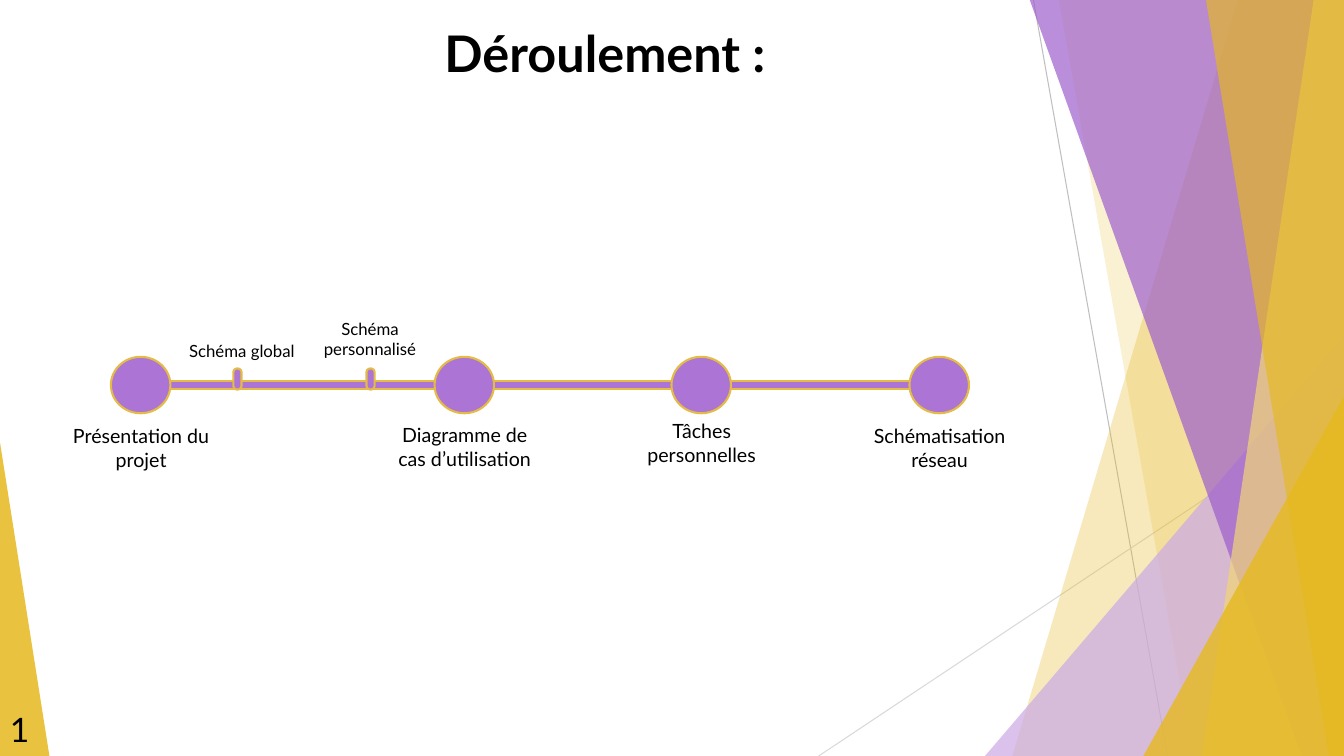
from lxml import etree
from pptx import Presentation
from pptx.dml.color import RGBColor
from pptx.enum import shapes, text
from pptx.oxml import parse_xml
from pptx.oxml.ns import qn
from pptx.util import Inches, Pt

NS = 'xmlns:a="http://schemas.openxmlformats.org/drawingml/2006/main"'
GOLD, EDGE, VIOLET = "E6B91E", "E4BB46", "AB74D5"
KIND = shapes.MSO_SHAPE


def paint(shape, color, alpha=100, edge=None):
    shape.shadow.inherit = False
    shape.fill.solid()
    shape.fill.fore_color.rgb = RGBColor.from_string(color)
    if alpha < 100:
        tint = shape.fill._xPr.find(qn("a:solidFill"))[0]
        etree.SubElement(tint, qn("a:alpha"), val=str(alpha * 1000))
    if edge:
        shape.line.color.rgb = RGBColor.from_string(edge)
        shape.line.width = Pt(1.5)
    else:
        shape.line.fill.background()


def write(words, left, top, width, height, size=14, bold=False, box=None,
          align=text.PP_ALIGN.CENTER, anchor=text.MSO_ANCHOR.TOP):
    place = [Inches(v) for v in (left, top, width, height)]
    if box is None:
        box = slide.shapes.add_textbox(*place)
    box.left, box.top, box.width, box.height = place
    frame = box.text_frame
    frame.word_wrap = True
    frame.vertical_anchor = anchor
    para = frame.paragraphs[0]
    para.alignment = align
    run = para.add_run()
    run.text = words
    run.font.name = "Lato"
    run.font.size = Pt(size)
    run.font.bold = bold
    run.font.color.rgb = RGBColor.from_string("000000")
    return run


deck = Presentation()
deck.slide_width, deck.slide_height = Inches(13.33), Inches(7.5)
slide = deck.slides.add_slide(deck.slide_layouts[5])

for x1, y1, x2, color in [(10.25, 0, 11.58, "BFBFBF"), (13.33, 4.03, 8.12, "D9D9D9")]:
    line = slide.shapes.add_connector(
        shapes.MSO_CONNECTOR.STRAIGHT, Inches(x1), Inches(y1), Inches(x2), Inches(7.5))
    line.line.color.rgb = RGBColor.from_string(color)
    line.line.width = Pt(0.75)
    etree.SubElement(line._element.spPr, qn("a:effectLst"))

facets = [
    ("band", 12.28, 10.04, GOLD, 30),
    ("band", 10.5, 11.83, GOLD, 20),
    ("peak", 9.77, 3.33, "CCABE5", 72),
    ("band", 10.21, 12.91, "9E5FCD", 70),
    ("band", 13.03, 11.92, "F0D578", 70),
    ("band", 11.96, 13.18, GOLD, 65),
    ("peak", 11.34, 3.93, GOLD, 80),
    ("peak", 0, 4.39, GOLD, 85),
]
for kind, left, other, color, alpha in facets:
    if kind == "band":
        path = slide.shapes.build_freeform(Inches(left), Inches(-0.01))
        path.add_line_segments([(Inches(x), Inches(y)) for x, y in
                                [(13.33, -0.01), (13.33, 7.5), (other, 7.5)]])
        facet = path.convert_to_shape()
    else:
        width = 13.33 - left if left else 0.49
        facet = slide.shapes.add_shape(
            KIND.ISOSCELES_TRIANGLE, Inches(left), Inches(other),
            Inches(width), Inches(7.5 - other))
        facet.adjustments[0] = 1 if left else 0
    paint(facet, color, alpha)

title = write("Déroulement :", 3.08, 0.16, 5.84, 0.71, size=36, bold=True,
              box=slide.shapes.title, anchor=text.MSO_ANCHOR.MIDDLE)
glow = parse_xml(
    f'<a:effectLst {NS}><a:outerShdw blurRad="38100" dist="38100" dir="2700000">'
    '<a:srgbClr val="000000"><a:alpha val="43000"/></a:srgbClr>'
    '</a:outerShdw></a:effectLst>')
title.font._element.find(qn("a:solidFill")).addnext(glow)
write("1", 0, 6.98, 0.47, 0.5, size=24, align=text.PP_ALIGN.LEFT)

bar = slide.shapes.add_shape(
    KIND.RECTANGLE, Inches(1.57), Inches(3.78), Inches(7.96), Inches(0.08))
paint(bar, VIOLET, edge=EDGE)

steps = [
    ("Présentation du projet", 1.4, 4.16),
    ("Diagramme de cas d’utilisation", 4.61, 4.15),
    ("Tâches personnelles", 6.96, 4.11),
    ("Schématisation réseau", 9.32, 4.16),
]
for words, mid, top in steps:
    dot = slide.shapes.add_shape(
        KIND.OVAL, Inches(mid - 0.3), Inches(3.54), Inches(0.59), Inches(0.56))
    paint(dot, VIOLET, edge=EDGE)
    write(words, mid - 0.83, top, 1.66, 0.57)

marks = [
    ("Schéma global", 2.25, 1.57, 3.33, 0.3),
    ("Schéma personnalisé", 3.57, 2.84, 3.11, 0.5),
]
for words, left, start, top, height in marks:
    tick = slide.shapes.add_shape(
        KIND.FLOWCHART_TERMINATOR, Inches(left), Inches(3.72), Inches(0.21), Inches(0.08))
    tick.rotation = 90
    paint(tick, VIOLET, edge=EDGE)
    write(words, start, top, 1.66, height, size=12)

deck.save("out.pptx")
